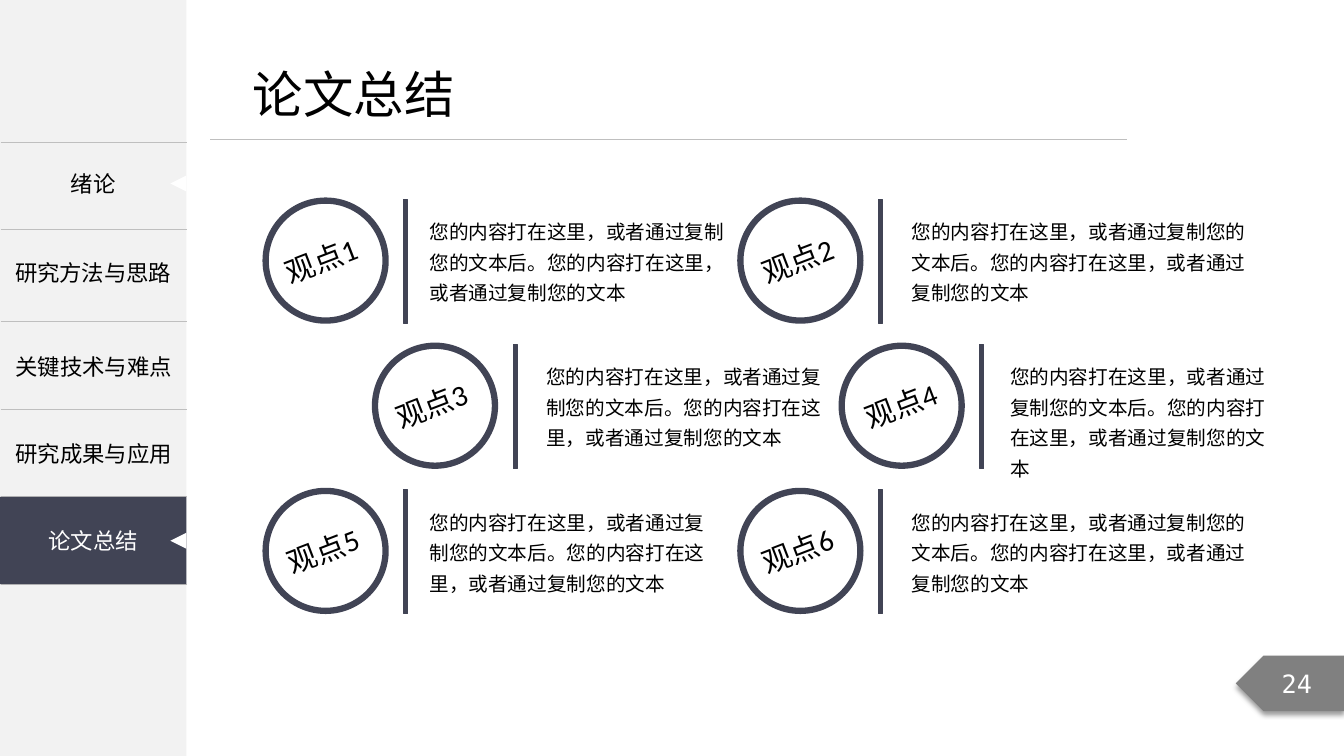
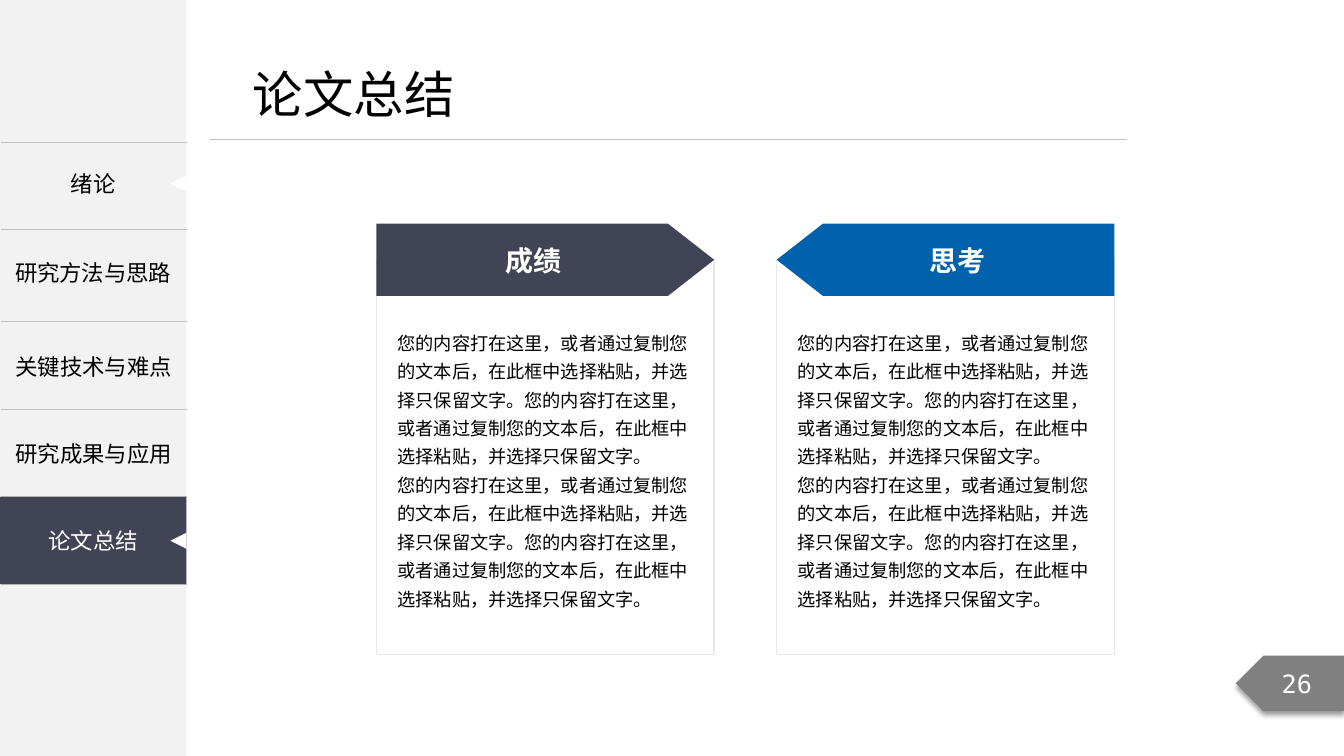
from lxml import etree
from pptx import Presentation
from pptx.dml.color import RGBColor
from pptx.enum.shapes import MSO_CONNECTOR, MSO_SHAPE as Form
from pptx.enum.text import MSO_ANCHOR as Anchor, MSO_AUTO_SIZE as Fit, PP_ALIGN as Align
from pptx.oxml import parse_xml
from pptx.oxml.ns import nsdecls, qn
from pptx.util import Inches, Pt

COLORS = {
    "white": "FFFFFF",
    "black": "000000",
    "navy": "414455",
    "blue": "0062AC",
    "panel": "F2F2F2",
    "rule": "BFBFBF",
    "frame": "E8E8E6",
    "gray": "808080",
}
SANS = "Noto Sans CJK SC"
LEADING = 1.56

deck = Presentation()
deck.slide_width = Inches(13.333)
deck.slide_height = Inches(7.5)
CELL = deck.slide_height / 75


def draw(page, form, left, top, width, height, fill=None, line=None, weight=1, flip=False):
    spot = [round(CELL * value) for value in (left, top, width, height)]
    if form is None:
        return page.shapes.add_textbox(*spot)
    shape = page.shapes.add_shape(form, *spot)
    shape.shadow.inherit = False
    shape.fill.solid()
    shape.fill.fore_color.rgb = RGBColor.from_string(COLORS[fill])
    if line:
        shape.line.color.rgb = RGBColor.from_string(COLORS[line])
        shape.line.width = Pt(weight)
    else:
        shape.line.fill.background()
    if flip:
        shape.element.spPr.find(qn("a:xfrm")).set("flipH", "1")
    return shape


def write(frame, text, size=16, color="black", font=SANS, bold=False,
          align=Align.CENTER, anchor=Anchor.MIDDLE, leading=None, inset=None):
    frame.word_wrap = True
    frame.vertical_anchor = anchor
    if inset is not None:
        frame.margin_left = frame.margin_right = Inches(inset)
        frame.margin_top = frame.margin_bottom = Inches(0.04)
    for index, line in enumerate(text.split("\n")):
        para = frame.add_paragraph() if index else frame.paragraphs[0]
        para.alignment = align
        if leading:
            para.line_spacing = Pt(round(size * leading, 1))
        span = para.add_run()
        span.text = line
        span.font.size = Pt(size)
        span.font.bold = bold
        span.font.color.rgb = RGBColor.from_string(COLORS[color])
        span.font.name = font
        east = etree.SubElement(span.font._element, qn("a:ea"))
        east.set("typeface", SANS)


layout = deck.slide_layouts[5]
for holder in list(layout.placeholders):
    if holder.placeholder_format.idx:
        holder.element.getparent().remove(holder.element)
    else:
        holder.left, holder.top, holder.width, holder.height = [
            round(CELL * value) for value in (24.1, 5.75, 88, 7.1)]

views_page = deck.slides.add_slide(layout)
results_page = deck.slides.add_slide(layout)

SIDE = 18.5
draw(views_page, Form.RECTANGLE, 0, 0, SIDE, 75, fill="panel")
rule = views_page.shapes.add_connector(
    MSO_CONNECTOR.STRAIGHT, *[round(CELL * value) for value in (20.85, 13.85, 111.8, 13.85)])
rule.line.color.rgb = RGBColor.from_string(COLORS["rule"])
rule.line.width = Pt(0.5)
etree.SubElement(rule.element.spPr, qn("a:effectLst"))

row_heights = [8.7, 9.1, 8.7, 8.7, 8.7]
menu = views_page.shapes.add_table(
    5, 1, *[round(CELL * value) for value in (0.05, 14.1, SIDE, sum(row_heights))]).table
menu.first_row = menu.horz_banding = False
menu_labels = {2: "关键技术与难点", 3: "研究成果与应用"}
for index, height in enumerate(row_heights):
    menu.rows[index].height = round(CELL * height)
    cell = menu.cell(index, 0)
    cell.fill.background()
    if index in menu_labels:
        write(cell.text_frame, menu_labels[index])
        cell.vertical_anchor = Anchor.MIDDLE
    props = cell._tc.get_or_add_tcPr()
    for place, edge in enumerate(("lnL", "lnR", "lnT", "lnB")):
        paint = "<a:noFill/>" if edge in ("lnL", "lnR") else (
            f'<a:solidFill><a:srgbClr val="{COLORS["rule"]}"/></a:solidFill>')
        props.insert(place, parse_xml(
            f'<a:{edge} {nsdecls("a")} w="12700">{paint}</a:{edge}>'))

for label, top in (("绪论", 13.9), ("研究方法与思路", 22.7)):
    write(draw(views_page, None, 0, top, SIDE, 8.6).text_frame, label)
active = draw(views_page, Form.RECTANGLE, 0, 49.3, SIDE, 8.65, fill="navy")
write(active.text_frame, "论文总结", color="white")
for top in (17.4, 52.85):
    pointer = draw(views_page, Form.ISOSCELES_TRIANGLE, SIDE - 1.6, top, 1.6, 1.6, fill="white")
    pointer.rotation = 270

for shape in list(views_page.shapes):
    if not shape.is_placeholder:
        layout.shapes.element.append(shape.element)

for page, number in ((views_page, "24"), (results_page, "26")):
    title = page.shapes.title.text_frame
    write(title, "论文总结", size=36, align=Align.LEFT)
    title.auto_size = Fit.NONE
    badge = draw(page, Form.PENTAGON, 122.6, 65.05, 10.75, 5.5, fill="gray", flip=True)
    write(badge.text_frame, number, size=18, color="white", font="DejaVu Sans Mono")
    badge.element.spPr.find(qn("a:effectLst")).append(parse_xml(
        f'<a:outerShdw {nsdecls("a")} blurRad="50800" dist="38100" dir="5400000" '
        f'algn="t" rotWithShape="0"><a:srgbClr val="{COLORS["black"]}">'
        '<a:alpha val="40000"/></a:srgbClr></a:outerShdw>'))

VIEW = "您的内容打在这里，或者通过复制您的文本后。您的内容打在这里，或者通过复制您的文本"
views = [
    (26.35, 25.75, 41.7, 31.8),
    (73.45, 73, 89.55, 36.7),
    (37.2, 36.7, 53.3, 29.4),
    (83.5, 83.3, 99.3, 28.8),
    (26.35, 25.95, 41.7, 30),
    (73.45, 73, 89.55, 36.7),
]
for index, (left, label_left, text_left, text_width) in enumerate(views):
    top = 19.9 + 14.4 * (index // 2)
    draw(views_page, Form.OVAL, left, top, 11.9, 11.9, fill="white", line="navy", weight=4.5)
    label = draw(views_page, None, label_left, top + 3.65, 12.2, 4.5)
    label.rotation = 338.9
    write(label.text_frame, f"观点{index + 1}", size=21, font="Calibri")
    draw(views_page, Form.RECTANGLE, left + 13.7, top - 0.1, 0.4, 12.3,
         fill="navy", line="navy", weight=0.75)
    note = draw(views_page, None, text_left, top + 0.85, text_width, 9.8)
    write(note.text_frame, VIEW, size=14, align=Align.LEFT, anchor=Anchor.TOP,
          leading=LEADING, inset=0.09)

SENTENCE = "您的内容打在这里，或者通过复制您的文本后，在此框中选择粘贴，并选择只保留文字。"
for left, heading, color, flip in ((37.35, "成绩", "navy", False), (77.05, "思考", "blue", True)):
    draw(results_page, Form.RECTANGLE, left, 25.75, 33.5, 39.2, fill="white", line="frame")
    banner = draw(results_page, Form.PENTAGON, left, 22.2, 33.5, 7.15, fill=color, flip=flip)
    banner.adjustments[0] = 0.64
    write(banner.text_frame, heading, size=20, color="white", bold=True, inset=0.08)
    body = draw(results_page, None, left + 1.3, 31.9, 31.2, 29.7)
    write(body.text_frame, "\n".join([SENTENCE * 2] * 2), size=13, align=Align.LEFT,
          anchor=Anchor.TOP, leading=LEADING, inset=0.08)

deck.save("out.pptx")
